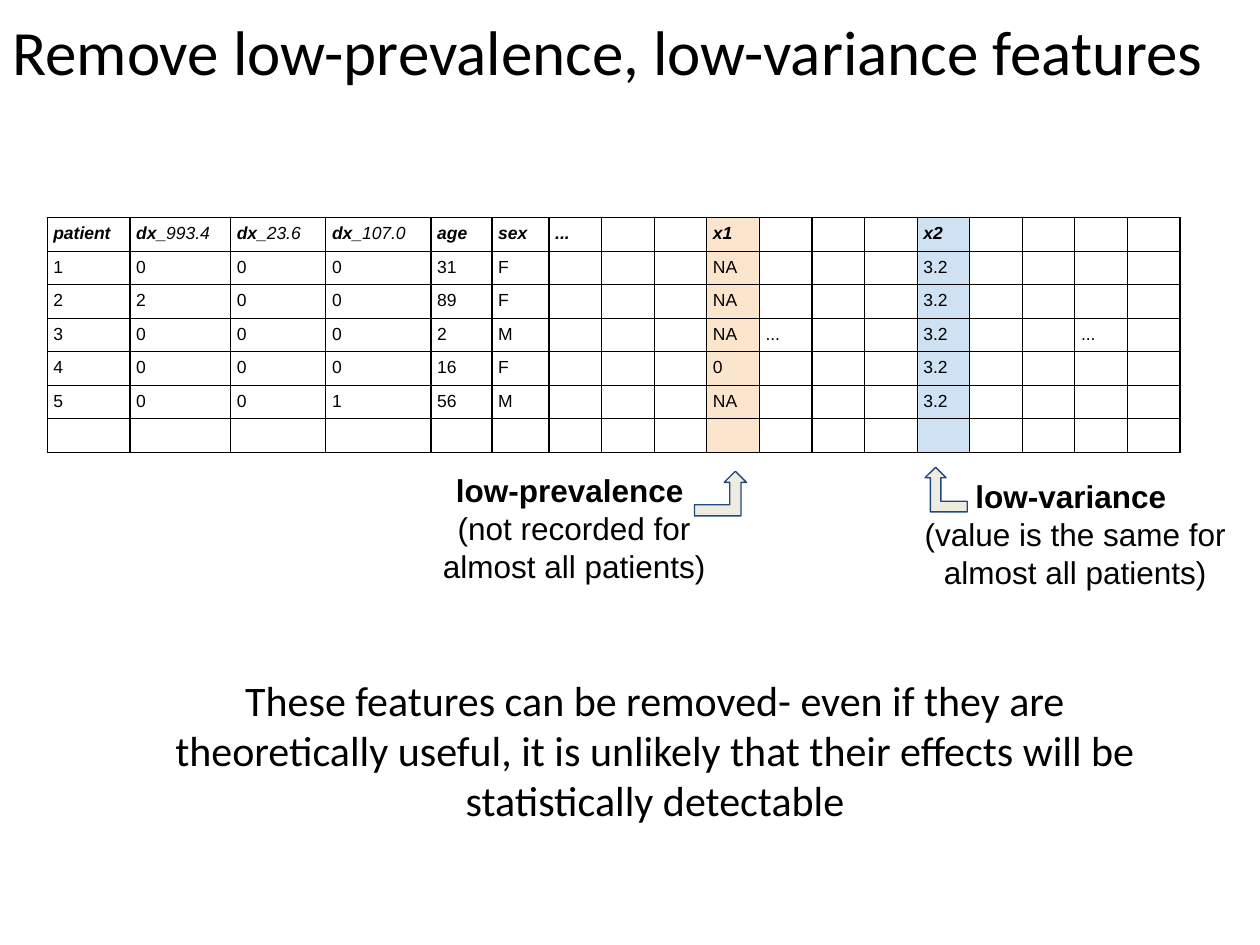
from dataclasses import dataclass

from lxml import etree
from pptx import Presentation
from pptx.dml.color import RGBColor
from pptx.enum import shapes, text
from pptx.oxml import ns
from pptx.util import Cm, Pt


@dataclass(frozen=True)
class Theme:
    ink: str = "000000"
    paper: str = "FFFFFF"
    peach: str = "FCE5CD"
    sky: str = "CFE2F3"
    cream: str = "EEECE1"
    navy: str = "1F497D"
    head: str = "Calibri"
    body: str = "Arial"
    title: int = 36
    note: int = 24
    label: int = 18
    cell: int = 10
    line: float = 0.75


THEME = Theme()
INSET = 0.25
WIDTHS = [1.67, 2.03, 1.92, 2.12, 1.23, 1.15] + [1.06] * 12
ROW = 0.65
X1, X2 = 9, 13
TINTS = {X1: THEME.peach, X2: THEME.sky}
HEADS = ["patient", "dx_|993.4", "dx_|23.6", "dx_|107.0", "age", "sex", "..."]
PATIENTS = [
    ["1", "0", "0", "0", "31", "F", "NA"],
    ["2", "2", "0", "0", "89", "F", "NA"],
    ["3", "0", "0", "0", "2", "M", "NA"],
    ["4", "0", "0", "0", "16", "F", "0"],
    ["5", "0", "0", "1", "56", "M", "NA"],
]


def rgb(code):
    return RGBColor.from_string(code)


def style(para, face, size, bold=None, italic=None):
    font = para.font
    font.name, font.size = face, Pt(size)
    font.bold, font.italic = bold, italic
    font.color.rgb = rgb(THEME.ink)


def add_text(slide, box, lines, face, size, align):
    """Lines are (words, bold) pairs, one paragraph each."""
    frame = slide.shapes.add_textbox(*map(Cm, box)).text_frame
    frame.word_wrap = True
    frame.margin_left = frame.margin_right = Cm(INSET)
    frame.margin_top = frame.margin_bottom = Cm(INSET)
    for i, (words, bold) in enumerate(lines):
        para = frame.add_paragraph() if i else frame.paragraphs[0]
        para.text = words
        para.alignment = align
        style(para, face, size, bold)


def add_edges(cell):
    props = cell._tc.get_or_add_tcPr()
    for i, side in enumerate(("lnL", "lnR", "lnT", "lnB")):
        edge = etree.Element(ns.qn("a:" + side), w=str(Pt(THEME.line)))
        fill = etree.SubElement(edge, ns.qn("a:solidFill"))
        etree.SubElement(fill, ns.qn("a:srgbClr"), val=THEME.ink)
        props.insert(i, edge)


def fill_cell(cell, words, tint, head):
    """A bar in a heading parts its bold stem from its plain code."""
    cell.margin_left = cell.margin_right = Cm(INSET / 2)
    cell.margin_top = cell.margin_bottom = Cm(INSET / 2)
    cell.fill.solid()
    cell.fill.fore_color.rgb = rgb(tint)
    add_edges(cell)
    para = cell.text_frame.paragraphs[0]
    parts = words.split("|") if words else []
    for i, part in enumerate(parts):
        run = para.add_run()
        run.text = part
        if len(parts) > 1:
            run.font.bold = i == 0
    bold = head if len(parts) < 2 else None
    style(para, THEME.body, THEME.cell, bold, head)
    if not parts:
        etree.SubElement(para._p, ns.qn("a:endParaRPr"),
                         sz=str(THEME.cell * 100))


def table_rows():
    """Yield each row as a mapping from column to words."""
    yield {**dict(enumerate(HEADS)), X1: "x1", X2: "x2"}
    for *facts, rare in PATIENTS:
        row = {**dict(enumerate(facts)), X1: rare, X2: "3.2"}
        if facts[0] == "3":
            row.update({X1 + 1: "...", X2 + 3: "..."})
        yield row
    yield {}


def add_data(slide, left, top):
    rows = list(table_rows())
    frame = slide.shapes.add_table(
        len(rows), len(WIDTHS), Cm(left), Cm(top),
        Cm(sum(WIDTHS)), Cm(ROW * len(rows)))
    table = frame.table
    table.first_row = table.horz_banding = False
    for col, width in zip(table.columns, WIDTHS):
        col.width = Cm(width)
    for r, row in enumerate(rows):
        table.rows[r].height = Cm(ROW)
        for c in range(len(WIDTHS)):
            fill_cell(table.cell(r, c), row.get(c, ""),
                      TINTS.get(c, THEME.paper), r == 0)


def add_label(slide, left, top, name, gloss):
    add_text(slide, (left, top, 6.63, 2.74), [(name, True), (gloss, False)],
             THEME.body, THEME.label, text.PP_ALIGN.CENTER)


def add_arrow(slide, box, flip=False):
    arrow = slide.shapes.add_shape(
        shapes.MSO_SHAPE.BENT_UP_ARROW, *map(Cm, box))
    arrow.shadow.inherit = False
    arrow.fill.solid()
    arrow.fill.fore_color.rgb = rgb(THEME.cream)
    arrow.line.color.rgb = rgb(THEME.navy)
    arrow.line.width = Pt(THEME.line)
    if flip:
        arrow._element.spPr.xfrm.set("flipH", "1")


def main():
    deck = Presentation()
    deck.slide_width, deck.slide_height = Cm(25.4), Cm(19.05)
    slide = deck.slides.add_slide(deck.slide_layouts[6])
    add_text(slide, (0, 0, 25.4, 3.18),
             [("Remove low-prevalence, low-variance features", None)],
             THEME.head, THEME.title, text.PP_ALIGN.LEFT)
    add_data(slide, 0.95, 4.39)
    add_label(slide, 8.26, 9.25, "low-prevalence ",
              "(not recorded for almost all patients)")
    add_label(slide, 18.36, 9.37, "low-variance ",
              "(value is the same for almost all patients)")
    add_arrow(slide, (14, 9.5, 1.05, 0.9))
    add_arrow(slide, (18.65, 9.42, 0.85, 0.9), flip=True)
    add_text(slide, (2.69, 13.34, 21.03, 3.73),
             [("These features can be removed- even if they are theoretically "
               "useful, it is unlikely that their effects will be "
               "statistically detectable", None)],
             THEME.head, THEME.note, text.PP_ALIGN.CENTER)
    deck.save("out.pptx")


if __name__ == "__main__":
    main()
